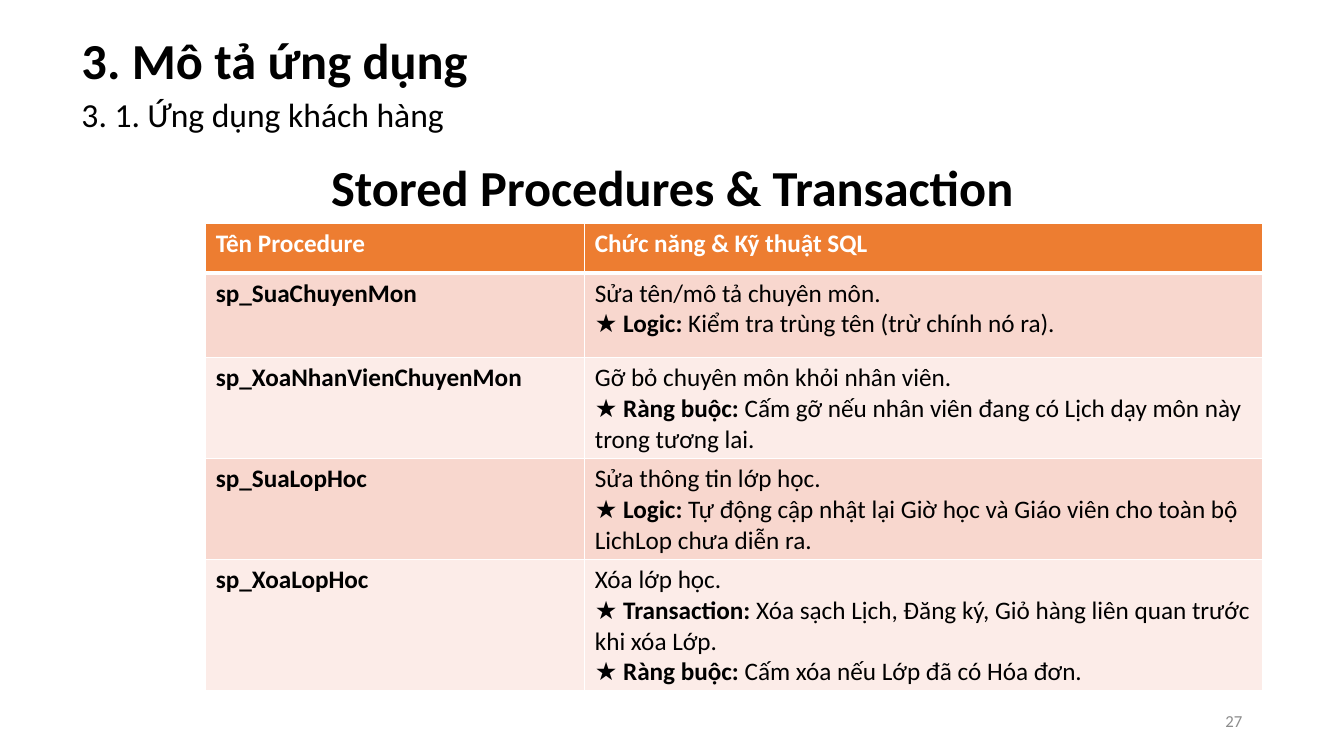
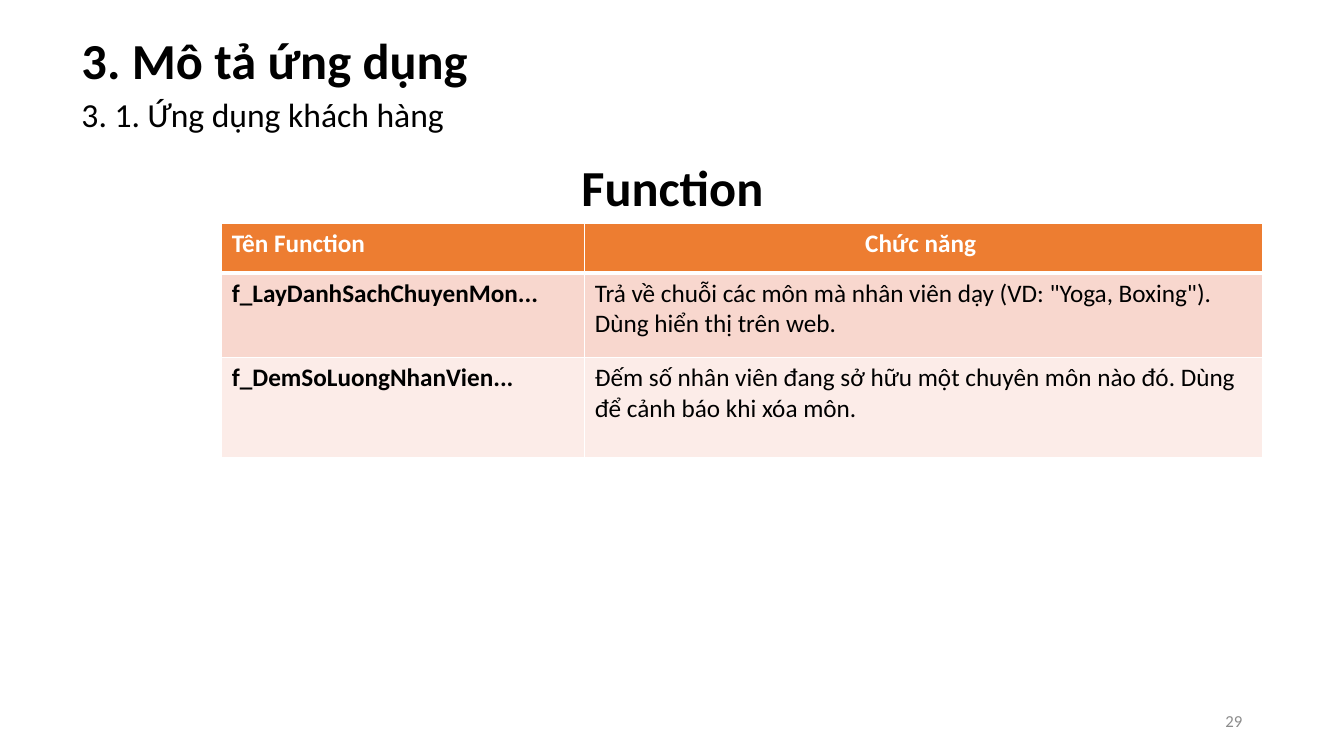
"""Build two slides that describe stored procedures and functions in tables."""
from lxml.etree import SubElement
from pptx import Presentation
from pptx.dml.color import RGBColor
from pptx.enum.text import MSO_ANCHOR, PP_ALIGN
from pptx.oxml.ns import qn
from pptx.util import Inches, Pt

FONT = "Calibri"
COLORS = {"text": "000000", "white": "FFFFFF", "header": "ED7D31",
          "odd": "F8D7CE", "even": "FCECE8", "number": "8C8C8C"}
TITLE = "3. Mô tả ứng dụng"
SUBTITLE = "3. 1. Ứng dụng khách hàng"
TABLE_TOP, COLUMN_SPLIT, DETAIL_WIDTH = 2.22, 5.8, 6.72

SLIDES = [
    {"heading": "Stored Procedures & Transaction", "number": "27", "left": 2.04,
     "header": ["Tên Procedure", "Chức năng & Kỹ thuật SQL"],
     "header_align": PP_ALIGN.LEFT,
     "heights": [0.49, 0.84, 0.99, 0.99, 1.3],
     "rows": [
         ("sp_SuaChuyenMon",
          ["Sửa tên/mô tả chuyên môn.",
           "★ **Logic: **Kiểm tra trùng tên (trừ chính nó ra)."]),
         ("sp_XoaNhanVienChuyenMon",
          ["Gỡ bỏ chuyên môn khỏi nhân viên.",
           "★ **Ràng buộc:** Cấm gỡ nếu nhân viên đang có Lịch dạy môn này trong tương lai."]),
         ("sp_SuaLopHoc",
          ["Sửa thông tin lớp học.",
           "★ **Logic:** Tự động cập nhật lại Giờ học và Giáo viên cho toàn bộ LichLop chưa diễn ra."]),
         ("sp_XoaLopHoc",
          ["Xóa lớp học.",
           "★ **Transaction:** Xóa sạch Lịch, Đăng ký, Giỏ hàng liên quan trước khi xóa Lớp.",
           "★ **Ràng buộc:** Cấm xóa nếu Lớp đã có Hóa đơn."])]},
    {"heading": "Function", "number": "29", "left": 2.2,
     "header": ["Tên Function", "Chức năng "],
     "header_align": PP_ALIGN.CENTER,
     "heights": [0.49, 0.84, 0.99],
     "rows": [
         ("f_LayDanhSachChuyenMon...",
          ['Trả về chuỗi các môn mà nhân viên dạy (VD: "Yoga, Boxing"). Dùng hiển thị trên web.']),
         ("f_DemSoLuongNhanVien...",
          ["Đếm số nhân viên đang sở hữu một chuyên môn nào đó. Dùng để cảnh báo khi xóa môn."])]},
]


def write(tf, lines, size=18, color="text", bold=False, align=PP_ALIGN.LEFT):
    """Fill a text frame; text between double asterisks is bold."""
    tf.word_wrap = True
    for i, line in enumerate(lines):
        p = tf.add_paragraph() if i else tf.paragraphs[0]
        p.alignment = align
        for j, part in enumerate(line.split("**")):
            r = p.add_run()
            r.text = part
            r.font.name, r.font.size = FONT, Pt(size)
            r.font.bold = bold or j % 2 == 1
            r.font.color.rgb = RGBColor.from_string(COLORS[color])


def add_text(s, box, text, anchor=MSO_ANCHOR.TOP, **style):
    """Add a text box at left, top, width, height in inches."""
    tf = s.shapes.add_textbox(*map(Inches, box)).text_frame
    tf.vertical_anchor = anchor
    write(tf, [text], **style)


def style_cell(cell, fill, **widths):
    """Draw white cell borders of the given widths, then fill the cell."""
    tcPr = cell._tc.get_or_add_tcPr()
    for side in ("L", "R", "T", "B"):
        ln = SubElement(tcPr, qn(f"a:ln{side}"), w=str(Pt(widths.get(side, 1))))
        SubElement(SubElement(ln, qn("a:solidFill")), qn("a:srgbClr"), val=COLORS["white"])
    cell.fill.solid()
    cell.fill.fore_color.rgb = RGBColor.from_string(COLORS[fill])


def add_table(s, data):
    """Add the two-column table with a header and banded rows."""
    left, heights = data["left"], data["heights"]
    widths = [COLUMN_SPLIT - left, DETAIL_WIDTH]
    table = s.shapes.add_table(len(heights), 2, Inches(left), Inches(TABLE_TOP),
                               Inches(sum(widths)), Inches(sum(heights))).table
    for column, width in zip(table.columns, widths):
        column.width = Inches(width)
    for row, height in zip(table.rows, heights):
        row.height = Inches(height)
    aligns = [PP_ALIGN.LEFT, data["header_align"]]
    for c, (text, align) in enumerate(zip(data["header"], aligns)):
        cell = table.cell(0, c)
        style_cell(cell, "header", B=3)
        write(cell.text_frame, [text], color="white", bold=True, align=align)
    for i, (name, details) in enumerate(data["rows"], 1):
        for c, lines in enumerate(([name], details)):
            cell = table.cell(i, c)
            style_cell(cell, "odd" if i % 2 else "even", T=3 if i == 1 else 1)
            write(cell.text_frame, lines, bold=c == 0)


def add_slide(prs, data):
    """Add one slide with the shared titles, its table and its number."""
    s = prs.slides.add_slide(prs.slide_layouts[6])
    add_text(s, (0.71, 0.24, 7.89, 0.71), TITLE, size=36, bold=True)
    add_text(s, (0.71, 0.88, 7.89, 0.5), SUBTITLE, size=24)
    add_text(s, (3.11, 1.5, 7.12, 0.71), data["heading"], size=36, bold=True,
             align=PP_ALIGN.CENTER)
    add_table(s, data)
    add_text(s, (9.42, 6.95, 3, 0.4), data["number"], anchor=MSO_ANCHOR.MIDDLE,
             size=12, color="number", align=PP_ALIGN.RIGHT)


def main():
    """Build and save the presentation."""
    prs = Presentation()
    prs.slide_width, prs.slide_height = Inches(13.33), Inches(7.5)
    for data in SLIDES:
        add_slide(prs, data)
    prs.save("out.pptx")


if __name__ == "__main__":
    main()
